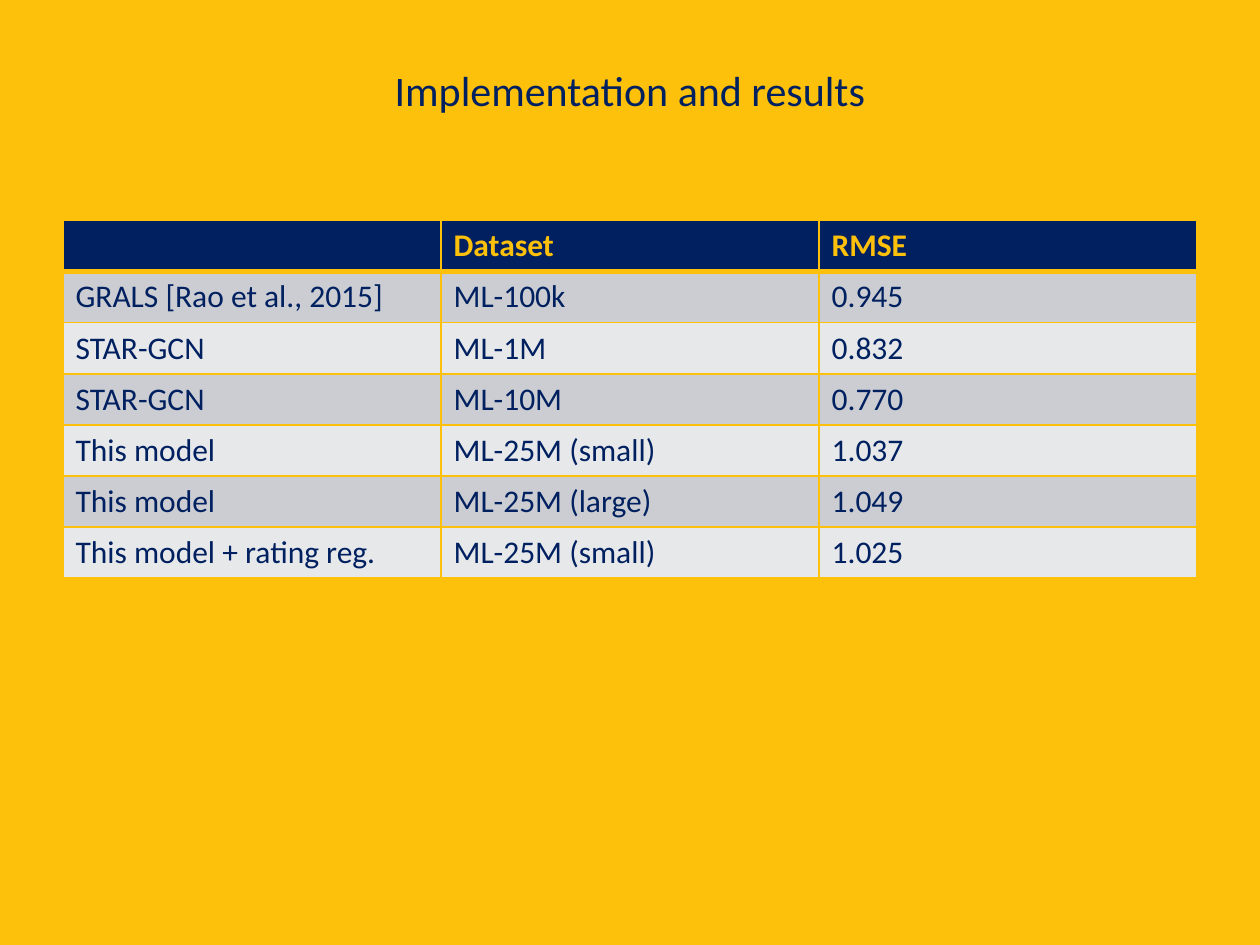
from dataclasses import dataclass

from lxml.etree import SubElement
from pptx import Presentation
from pptx.dml.color import RGBColor as Color
from pptx.enum.text import MSO_ANCHOR as Anchor, PP_ALIGN as Align
from pptx.oxml.ns import qn
from pptx.util import Pt


@dataclass(frozen=True)
class Theme:
    font: str = "Calibri"
    title_size: int = 24
    body_size: int = 18
    gold: str = "FEC10B"
    navy: str = "002060"
    bands: tuple = ("CCCDD2", "E7E8EA")
    line_width: int = 1
    header_line_width: int = 3


RESULTS = [
    ("", "Dataset", "RMSE"),
    ("GRALS [Rao et al., 2015]", "ML-100k", "0.945"),
    ("STAR-GCN", "ML-1M", "0.832"),
    ("STAR-GCN", "ML-10M", "0.770"),
    ("This model", "ML-25M (small)", "1.037"),
    ("This model", "ML-25M (large)", "1.049"),
    ("This model + rating reg.", "ML-25M (small)", "1.025"),
]


def write_text(frame, text, *, font, size, color, bold=False, align=Align.LEFT):
    """Put one formatted paragraph into a text frame."""
    paragraph = frame.paragraphs[0]
    paragraph.alignment = align
    paragraph.font.size = Pt(size)
    if not text:
        return
    run = paragraph.add_run()
    run.text = text
    run.font.name = font
    run.font.size = Pt(size)
    run.font.bold = bold
    run.font.color.rgb = Color.from_string(color)


class SlideBuilder:
    def __init__(self, slide, theme):
        self.slide = slide
        self.theme = theme

    def background(self):
        fill = self.slide.background.fill
        fill.solid()
        fill.fore_color.rgb = Color.from_string(self.theme.gold)

    def title(self, text, left, top, width, height):
        shape = self.slide.shapes.title
        shape.left, shape.top = Pt(left), Pt(top)
        shape.width, shape.height = Pt(width), Pt(height)
        shape.text_frame.vertical_anchor = Anchor.MIDDLE
        write_text(shape.text_frame, text, font=self.theme.font,
                   size=self.theme.title_size, color=self.theme.navy,
                   align=Align.CENTER)

    def borders(self, cell, **widths):
        """Draw cell borders; call before filling, as the schema wants lines first."""
        properties = cell._tc.get_or_add_tcPr()
        for side in "LRTB":
            width = widths.get(side, self.theme.line_width)
            line = SubElement(properties, qn(f"a:ln{side}"), w=str(Pt(width)))
            fill = SubElement(line, qn("a:solidFill"))
            SubElement(fill, qn("a:srgbClr"), val=self.theme.gold)

    def table(self, rows, left, top, width, row_height):
        theme = self.theme
        table = self.slide.shapes.add_table(
            len(rows), len(rows[0]), Pt(left), Pt(top),
            Pt(width), Pt(row_height * len(rows))).table
        for row_index, row in enumerate(rows):
            table.rows[row_index].height = Pt(row_height)
            header = row_index == 0
            fill_color = theme.navy if header else theme.bands[(row_index - 1) % 2]
            # The heavy rule is shared by the header and the row below it
            if header:
                widths = {"B": theme.header_line_width}
            elif row_index == 1:
                widths = {"T": theme.header_line_width}
            else:
                widths = {}
            for column_index, text in enumerate(row):
                cell = table.cell(row_index, column_index)
                self.borders(cell, **widths)
                cell.fill.solid()
                cell.fill.fore_color.rgb = Color.from_string(fill_color)
                write_text(cell.text_frame, text, font=theme.font,
                           size=theme.body_size, bold=header,
                           color=theme.gold if header else theme.navy)


def main():
    presentation = Presentation()
    presentation.slide_width, presentation.slide_height = Pt(720), Pt(540)
    title_only = presentation.slide_layouts[5]
    builder = SlideBuilder(presentation.slides.add_slide(title_only), Theme())

    # Background and heading
    builder.background()
    builder.title("Implementation and results", 36, 6, 648, 90)

    # Results table
    builder.table(RESULTS, left=36, top=126, width=648, row_height=29.2)

    presentation.save("out.pptx")


if __name__ == "__main__":
    main()
